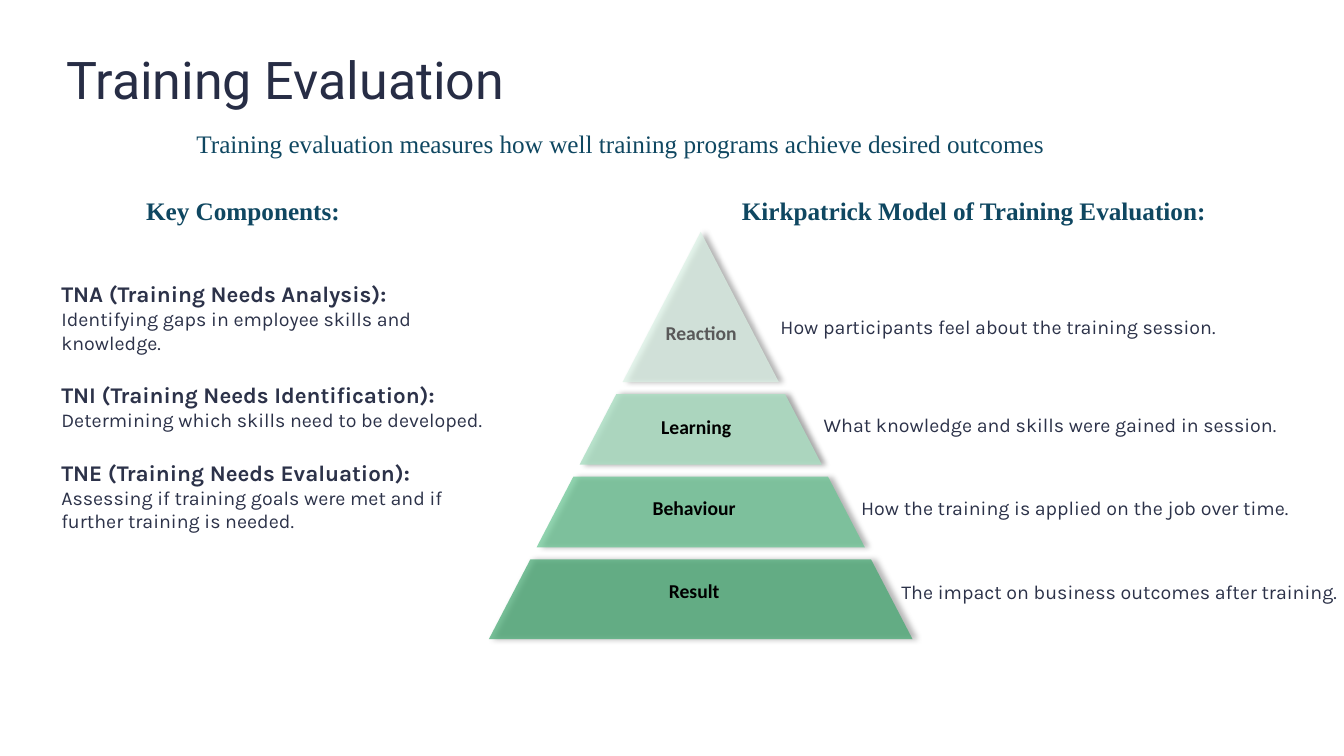
"""Build the Training Evaluation slide with its four-level pyramid."""
from lxml import etree
from pptx import Presentation
from pptx.dml.color import RGBColor
from pptx.enum.text import MSO_AUTO_SIZE, PP_ALIGN
from pptx.oxml import parse_xml
from pptx.oxml.ns import nsdecls, qn
from pptx.util import Inches, Pt

COLORS = {"title": "272D45", "body": "2C3249", "teal": "0F4761",
          "gray": "595959", "black": "000000", "reaction": "DBF1E5",
          "learning": "ACDEC3", "behaviour": "69C593", "result": "42A870"}
TITLE = {"name": "Roboto", "size": Pt(37.1), "color": "title"}
HEADING = {"name": "Times New Roman", "size": Pt(18), "color": "teal", "bold": True}
SUBTITLE = {**HEADING, "bold": False}
TERM = {"name": "Karla", "size": Pt(16), "color": "body", "bold": True}
BODY = {"name": "Karla", "size": Pt(14), "color": "body", "bold": False}
LABEL = {"name": "Calibri", "size": Pt(14), "color": "black", "bold": True}

prs = Presentation()
prs.slide_width, prs.slide_height = Inches(13.33), Inches(7.5)
s = prs.slides.add_slide(prs.slide_layouts[6])


def add_run(p, text, fmt):
    r = p.add_run()
    r.text = text
    for key, value in fmt.items():
        if key == "color":
            r.font.color.rgb = RGBColor.from_string(COLORS[value])
        else:
            setattr(r.font, key, value)


def add_text(box, text, fmt, spacing=None, align=None):
    tf = s.shapes.add_textbox(*map(Inches, box)).text_frame
    tf.word_wrap = True
    p = tf.paragraphs[0]
    if spacing:
        tf.margin_left = tf.margin_top = tf.margin_right = tf.margin_bottom = 0
        p.line_spacing = Pt(spacing)
    else:
        tf.auto_size = MSO_AUTO_SIZE.SHAPE_TO_FIT_TEXT
    if align is not None:
        p.alignment = align
    add_run(p, text, fmt)
    return tf


title = add_text((0.66, 0.45, 5.17, 0.65), "Training Evaluation", TITLE, spacing=46.2)
title.word_wrap = False

captions = [
    ((7.74, 3.03, 5.49, 0.41), "How participants feel about the training session."),
    ((8.17, 4, 4.93, 0.68), "What knowledge and skills were gained in session."),
    ((8.54, 4.82, 4.45, 0.43), "How the training is applied on the job over time."),
    ((8.94, 5.66, 4.39, 0.68), "The impact on business outcomes after training."),
]
for box, text in captions:
    add_text(box, text, BODY, spacing=23.8)

APEX_X, APEX_Y, SLOPE = 6.95, 2.3, 0.52
levels = [
    ("Reaction", 2.3, 3.79, 73, 6.44, 3.13, "gray"),
    ("Learning", 3.91, 4.61, 84, 6.39, 4.07, "black"),
    ("Behaviour", 4.73, 5.43, 73, 6.37, 4.87, "black"),
    ("Result", 5.55, 6.34, 71, 6.37, 5.69, "black"),
]
for name, top, bottom, opacity, label_x, label_y, label_color in levels:
    upper, lower = [SLOPE * (y - APEX_Y) for y in (top, bottom)]
    corners = [(APEX_X - upper, top), (APEX_X + upper, top),
               (APEX_X + lower, bottom), (APEX_X - lower, bottom)]
    points = [(Inches(x), Inches(y)) for x, y in corners]
    builder = s.shapes.build_freeform(*points[0])
    builder.add_line_segments(points[1:], close=True)
    sp = builder.convert_to_shape()
    sp.line.fill.background()
    sp.fill.solid()
    sp.fill.fore_color.rgb = RGBColor.from_string(COLORS[name.lower()])
    srgb = sp.element.spPr.find(qn("a:solidFill")).find(qn("a:srgbClr"))
    etree.SubElement(srgb, qn("a:alpha"), val=str(opacity * 1000))
    sp.element.spPr.append(parse_xml(
        f'<a:effectLst {nsdecls("a")}>'
        f'<a:outerShdw blurRad="{Pt(4)}" dist="{Pt(3)}" dir="0" algn="l" rotWithShape="0">'
        '<a:srgbClr val="000000"><a:alpha val="40000"/></a:srgbClr>'
        '</a:outerShdw></a:effectLst>'))
    add_text((label_x, label_y, 1.03, 0.34), name, {**LABEL, "color": label_color},
             align=PP_ALIGN.CENTER)

components = [
    ("TNA (Training Needs Analysis):",
     "Identifying gaps in employee skills and knowledge."),
    ("TNI (Training Needs Identification):",
     "Determining which skills need to be developed."),
    ("TNE (Training Needs Evaluation):",
     "Assessing if training goals were met and if further training is needed."),
]
(first_term, first_detail), *others = components
tf = add_text((0.51, 2.73, 4.53, 2.96), first_term, TERM)
add_run(tf.add_paragraph(), first_detail, BODY)
for term, detail in others:
    p = tf.add_paragraph()
    p.space_before = Pt(19.4)
    add_run(p, term, TERM)
    add_run(tf.add_paragraph(), detail, BODY)

add_text((7.26, 1.89, 4.9, 0.4), "Kirkpatrick Model of Training Evaluation:", HEADING)
add_text((1.35, 1.89, 2.18, 0.4), "Key Components:", HEADING)
add_text((1.85, 1.22, 10.8, 0.41),
         "Training evaluation measures how well training programs achieve desired outcomes",
         SUBTITLE)

prs.save("out.pptx")
